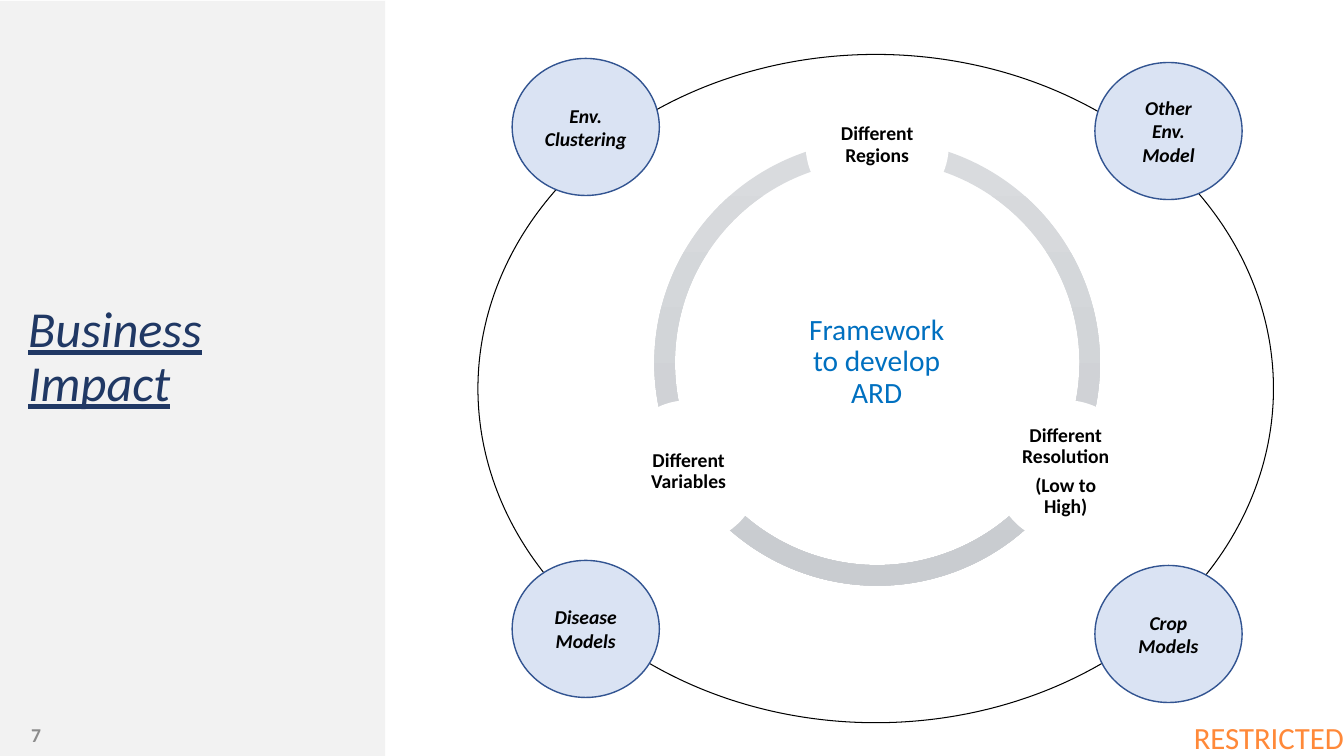
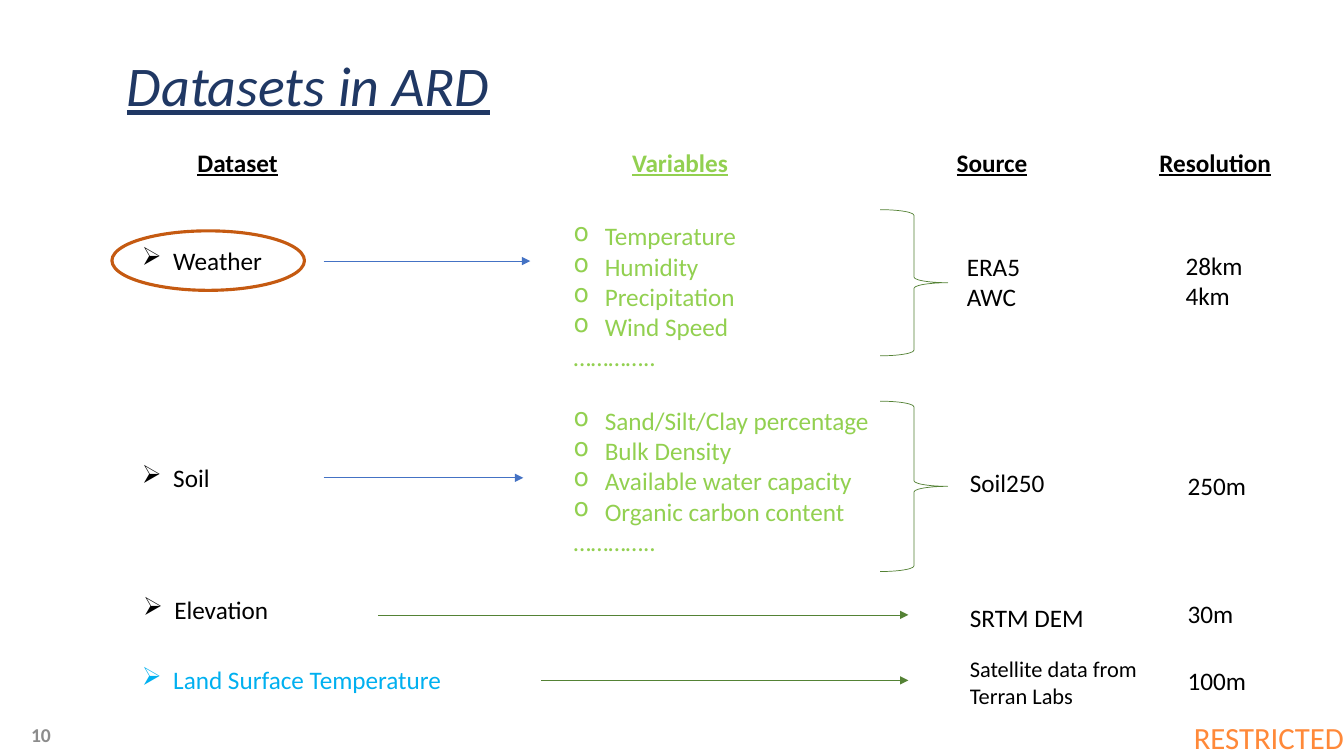
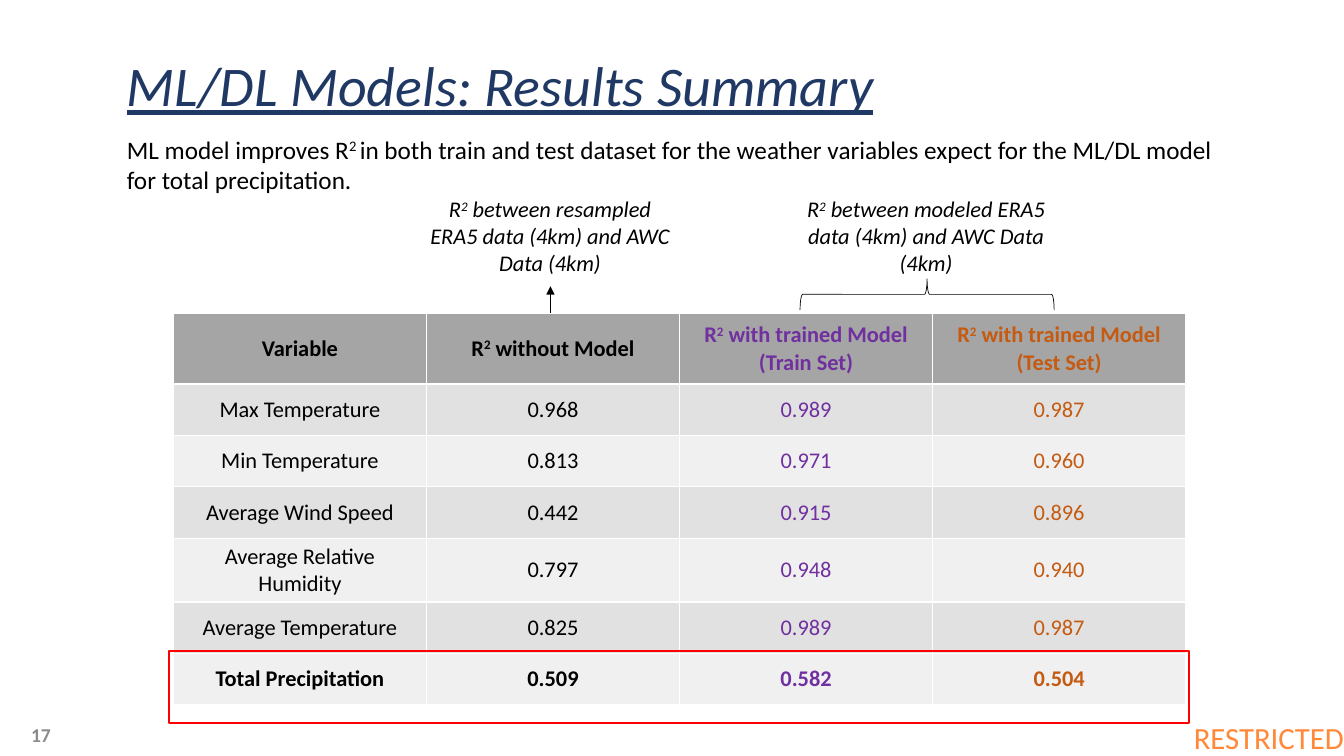
from math import cos, radians, sin

from lxml import etree
from pptx import Presentation
from pptx.dml.color import RGBColor
from pptx.enum.shapes import MSO_CONNECTOR, MSO_SHAPE
from pptx.enum.text import MSO_ANCHOR, PP_ALIGN
from pptx.oxml.ns import qn
from pptx.util import Emu, Pt

PX = 9144  # 100 px to the inch
FONT = "Calibri"

BLACK = RGBColor(0x00, 0x00, 0x00)
WHITE = RGBColor(0xFF, 0xFF, 0xFF)
NAVY = RGBColor(0x20, 0x38, 0x64)
ORANGE = RGBColor(0xFF, 0x89, 0x39)
GREY = RGBColor(0x8C, 0x8C, 0x8C)
PANEL = RGBColor(0xF2, 0xF2, 0xF2)
RING_LIGHT = RGBColor(0xD9, 0xDB, 0xDE)
RING_DARK = RGBColor(0xC9, 0xCC, 0xD0)
MID_BLUE = RGBColor(0x00, 0x70, 0xC0)
SKY_BLUE = RGBColor(0x00, 0xB0, 0xF0)
PALE_BLUE = RGBColor(0xDA, 0xE3, 0xF3)
OUTLINE_BLUE = RGBColor(0x32, 0x54, 0x91)
ARROW_BLUE = RGBColor(0x44, 0x72, 0xC4)
LIME = RGBColor(0x92, 0xD0, 0x50)
GREEN = RGBColor(0x54, 0x82, 0x35)
RUST = RGBColor(0xC5, 0x5A, 0x11)
PURPLE = RGBColor(0x70, 0x30, 0xA0)
RED = RGBColor(0xFF, 0x00, 0x00)
HEADER_FILL = RGBColor(0xA5, 0xA5, 0xA5)
BAND_FILLS = (RGBColor(0xE1, 0xE1, 0xE1), RGBColor(0xF0, 0xF0, 0xF0))

OVAL = MSO_SHAPE.OVAL
RECTANGLE = MSO_SHAPE.RECTANGLE
BLOCK_ARC = MSO_SHAPE.BLOCK_ARC
RIGHT_BRACE = MSO_SHAPE.RIGHT_BRACE
STRAIGHT = MSO_CONNECTOR.STRAIGHT
LEFT, CENTER = PP_ALIGN.LEFT, PP_ALIGN.CENTER
TOP, MIDDLE = MSO_ANCHOR.TOP, MSO_ANCHOR.MIDDLE

RESULTS = (
    ("Variable", "R^2^ without Model", "R^2^ with trained Model\n(Train Set)",
     "R^2^ with trained Model\n(Test Set)"),
    ("Max Temperature", "0.968", "0.989", "0.987"),
    ("Min Temperature", "0.813", "0.971", "0.960"),
    ("Average Wind Speed", "0.442", "0.915", "0.896"),
    ("Average Relative Humidity", "0.797", "0.948", "0.940"),
    ("Average Temperature", "0.825", "0.989", "0.987"),
    ("Total Precipitation", "0.509", "0.582", "0.504"),
)


def px(*lengths):
    return [Emu(length * PX) for length in lengths]


def add_bullet(paragraph, character):
    properties = paragraph._p.get_or_add_pPr()
    properties.set("marL", str(31 * PX))
    properties.set("indent", str(-31 * PX))
    etree.SubElement(properties, qn("a:buChar")).set("char", character)


def write(text_frame, text, size, color=BLACK, bold=False, italic=False,
          underline=False, align=LEFT, spacing=None, gap=0, bullet=None):
    """Fill a frame: one paragraph a line, text between ^ marks raised."""
    for index, line in enumerate(text.split("\n")):
        paragraph = text_frame.paragraphs[0] if index == 0 else text_frame.add_paragraph()
        if bullet and not line.startswith("…"):
            add_bullet(paragraph, bullet)
        paragraph.alignment = align
        if spacing:
            paragraph.line_spacing = spacing
        if gap and index:
            paragraph.space_before = Pt(gap)
        for position, piece in enumerate(line.split("^")):
            run = paragraph.add_run()
            run.text = piece
            font = run.font
            font.name, font.size = FONT, Pt(size)
            font.bold, font.italic, font.underline = bold, italic, underline
            font.color.rgb = color
            if position % 2:
                font._element.set("baseline", "30000")


def set_margins(text_frame, margin):
    text_frame.margin_left = text_frame.margin_right = Emu(margin * PX)
    text_frame.margin_top = text_frame.margin_bottom = Emu(margin * PX)


def add_text(slide, box, text, size=18, anchor=TOP, margin=None, **style):
    text_frame = slide.shapes.add_textbox(*px(*box)).text_frame
    text_frame.word_wrap = True
    text_frame.vertical_anchor = anchor
    if margin is not None:
        set_margins(text_frame, margin)
    write(text_frame, text, size, **style)


def add_shape(slide, kind, box, fill=None, line=None, width=1):
    shape = slide.shapes.add_shape(kind, *px(*box))
    shape.shadow.inherit = False
    if fill is None:
        shape.fill.background()
    else:
        shape.fill.solid()
        shape.fill.fore_color.rgb = fill
    if line is None:
        shape.line.fill.background()
    else:
        shape.line.color.rgb = line
        shape.line.width = Pt(width)
    return shape


def add_arrow(slide, start, end, color):
    connector = slide.shapes.add_connector(STRAIGHT, *px(*start, *end))
    connector.line.color.rgb = color
    connector.line.width = Pt(0.5)
    etree.SubElement(connector.get_or_add_ln(), qn("a:tailEnd")).set("type", "triangle")
    etree.SubElement(connector._element.spPr, qn("a:effectLst"))


def add_circle_label(slide, center, diameter, text, size, **style):
    left, top = (round(value - diameter / 2) for value in center)
    circle = add_shape(slide, OVAL, (left, top, diameter, diameter), WHITE)
    set_margins(circle.text_frame, 2)
    circle.text_frame.vertical_anchor = MIDDLE
    write(circle.text_frame, text, size, align=CENTER, spacing=0.9, gap=5, **style)


def add_ring_arc(slide, center, radius, start, end):
    """Draw a thin shaded arc, clockwise between two angles in degrees."""
    left, top = (value - radius for value in center)
    arc = add_shape(slide, BLOCK_ARC, (left, top, 2 * radius, 2 * radius))
    for index, value in enumerate((start * 0.6, end * 0.6, 0.046)):
        arc.adjustments[index] = value
    arc.fill.gradient()
    arc.fill.gradient_angle = 270
    for stop, color in zip(arc.fill.gradient_stops, (RING_LIGHT, RING_DARK)):
        stop.color.rgb = color


def add_title(slide, text, box=(116, 48, 1000, 80), size=40):
    add_text(slide, box, text, size, MIDDLE, color=NAVY, italic=True,
             underline=True, spacing=0.9)


def new_slide(presentation, number):
    slide = presentation.slides.add_slide(presentation.slide_layouts[6])
    add_text(slide, (1184, 713, 157, 37), "RESTRICTED", 22, margin=0, color=ORANGE)
    return slide


def add_number(slide, number):
    add_text(slide, (21, 709, 300, 40), str(number), 14, MIDDLE, color=GREY, bold=True)


def build_impact(presentation):
    slide = new_slide(presentation, 7)
    add_shape(slide, OVAL, (474, 54, 789, 663), line=BLACK, width=0.75)
    add_shape(slide, RECTANGLE, (0, 1, 382, 749), PANEL)
    add_title(slide, "Business Impact", (18, 308, 342, 95), 36)
    add_number(slide, 7)

    center = (870, 360)
    for start, end in ((90, 162), (18, 90), (162, 18)):
        add_ring_arc(slide, center, 221, start, end)
    add_circle_label(slide, center, 203, "Framework to develop ARD", 21, color=MID_BLUE)
    labels = ("Different Regions", "Different Resolution\n(Low to High)", "Different Variables")
    for index, label in enumerate(labels):
        angle = radians(120 * index - 90)
        spot = (center[0] + 216 * cos(angle), center[1] + 216 * sin(angle))
        add_circle_label(slide, spot, 142, label, 14, bold=True)

    for left, top, label in ((508, 58, "Env. Clustering"), (1086, 62, "Other Env. Model"),
                             (508, 556, "Disease Models"), (1086, 561, "Crop Models")):
        circle = add_shape(slide, OVAL, (left, top, 146, 136), PALE_BLUE, OUTLINE_BLUE)
        circle.text_frame.vertical_anchor = MIDDLE
        write(circle.text_frame, label, 14, bold=True, italic=True, align=CENTER)


def build_datasets(presentation):
    slide = new_slide(presentation, 10)
    add_title(slide, "Datasets in ARD")
    add_number(slide, 10)

    for left, width, heading, color in ((186, 135, "Dataset", BLACK), (617, 135, "Variables", LIME),
                                        (939, 98, "Source", BLACK), (1140, 144, "Resolution", BLACK)):
        add_text(slide, (left, 141, width, 40), heading, color=color, bold=True, underline=True)

    for left, top, name, color in ((131, 238, "Weather", BLACK), (131, 454, "Soil", BLACK),
                                   (132, 585, "Elevation", BLACK),
                                   (131, 654, "Land Surface Temperature", SKY_BLUE)):
        add_text(slide, (left, top, 485, 40), name, color=color, bullet="➢")
    add_shape(slide, OVAL, (111, 229, 191, 59), line=RUST, width=2.25)

    for top, variables in (
            (214, "Temperature\nHumidity\nPrecipitation\nWind Speed\n………….."),
            (397, "Sand/Silt/Clay percentage\nBulk Density\nAvailable water capacity\n"
                  "Organic carbon content\n…………..")):
        add_text(slide, (559, top, 365, 162), variables, color=LIME, bullet="o")

    for top, height in ((208, 145), (398, 169)):
        add_shape(slide, RIGHT_BRACE, (873, top, 67, height), line=GREEN, width=0.5)
    for start, end, height, color in ((321, 526, 259, ARROW_BLUE), (321, 519, 474, ARROW_BLUE),
                                      (375, 901, 610, GREEN), (537, 901, 675, GREEN)):
        add_arrow(slide, (start, height), (end, height), color)

    for left, top, source, size in ((949, 244, "ERA5\nAWC", 18), (952, 459, "Soil250", 18),
                                    (952, 593, "SRTM DEM", 18),
                                    (952, 645, "Satellite data from\nTerran Labs", 16)):
        add_text(slide, (left, top, 191, 40), source, size)
    for left, top, resolution in ((1166, 243, "28km\n4km"), (1168, 462, "250m"),
                                  (1168, 589, "30m"), (1168, 655, "100m")):
        add_text(slide, (left, top, 91, 40), resolution)


def add_results_table(slide):
    """Draw the table; the default style supplies its white rules."""
    last = len(RESULTS) - 1
    frame = slide.shapes.add_table(len(RESULTS), 4, *px(172, 311, 1003, 376))
    table = frame.table
    for column in table.columns:
        column.width = Emu(251 * PX)
    for row_index, values in enumerate(RESULTS):
        table.rows[row_index].height = Emu((51 if row_index else 70) * PX)
        fill = BAND_FILLS[(row_index - 1) % 2] if row_index else HEADER_FILL
        for column_index, color in enumerate((BLACK, BLACK, PURPLE, RUST)):
            cell = table.cell(row_index, column_index)
            cell.fill.solid()
            cell.fill.fore_color.rgb = fill
            cell.vertical_anchor = MIDDLE
            write(cell.text_frame, values[column_index], 16, color,
                  bold=row_index in (0, last), align=CENTER)


def build_results(presentation):
    slide = new_slide(presentation, 17)
    add_title(slide, "ML/DL Models: Results Summary")
    add_number(slide, 17)
    add_results_table(slide)
    add_text(slide, (116, 128, 1115, 71),
             "ML model improves R^2 ^in both train and test dataset for the weather variables "
             "expect for the ML/DL model for total precipitation.")
    for left, data in ((415, "resampled"), (788, "modeled")):
        add_text(slide, (left, 189, 261, 91),
                 f"R^2^ between {data} ERA5 data (4km) and AWC Data (4km)",
                 16, italic=True, align=CENTER)
    add_arrow(slide, (546, 311), (546, 284), BLACK)
    brace = add_shape(slide, RIGHT_BRACE, (904, 166, 31, 252), line=BLACK, width=0.5)
    brace.rotation = 270
    add_shape(slide, RECTANGLE, (168, 646, 1011, 71), line=RED, width=1.5)


def main():
    presentation = Presentation()
    presentation.slide_width, presentation.slide_height = px(1333, 750)
    build_impact(presentation)
    build_datasets(presentation)
    build_results(presentation)
    presentation.save("out.pptx")


if __name__ == "__main__":
    main()
